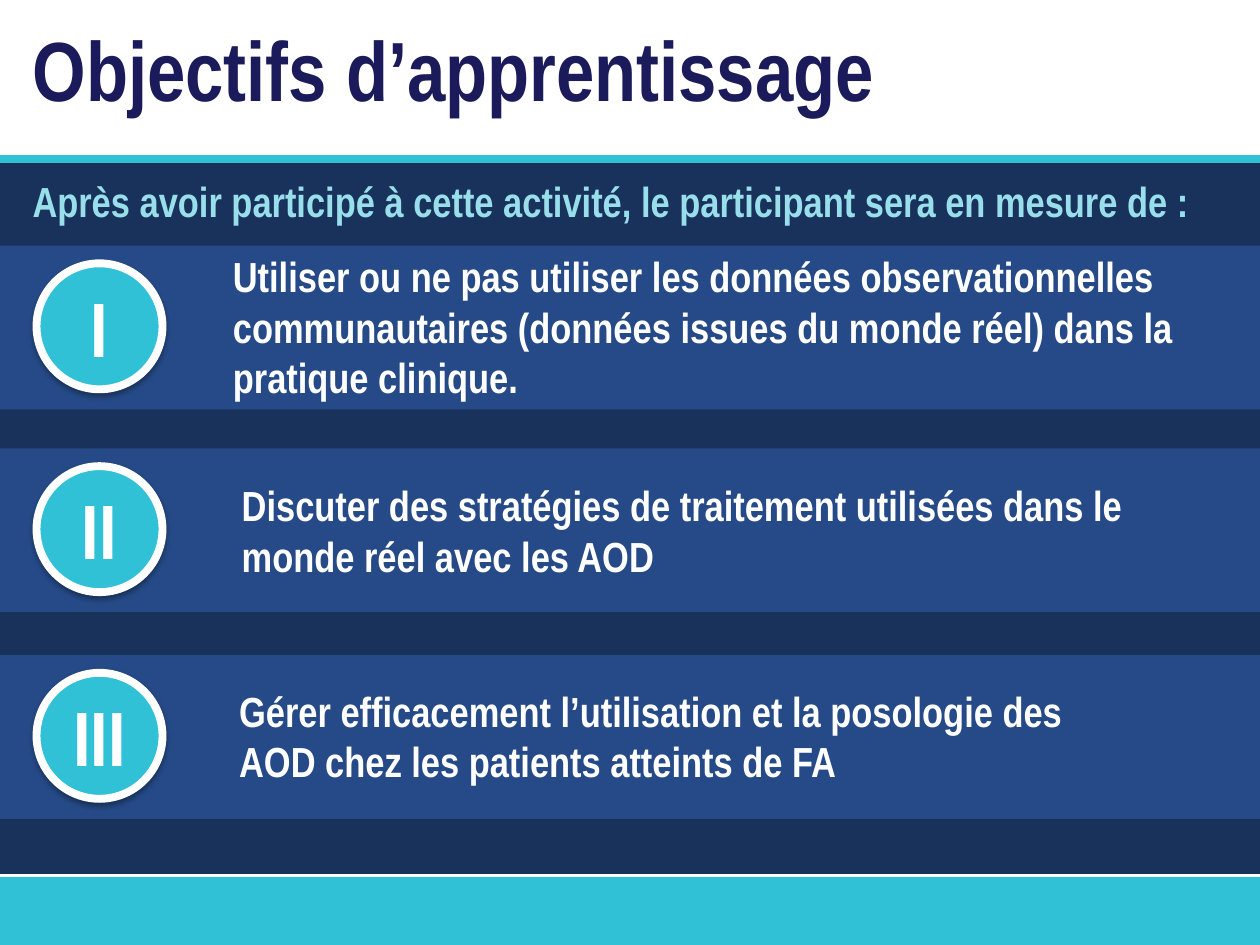
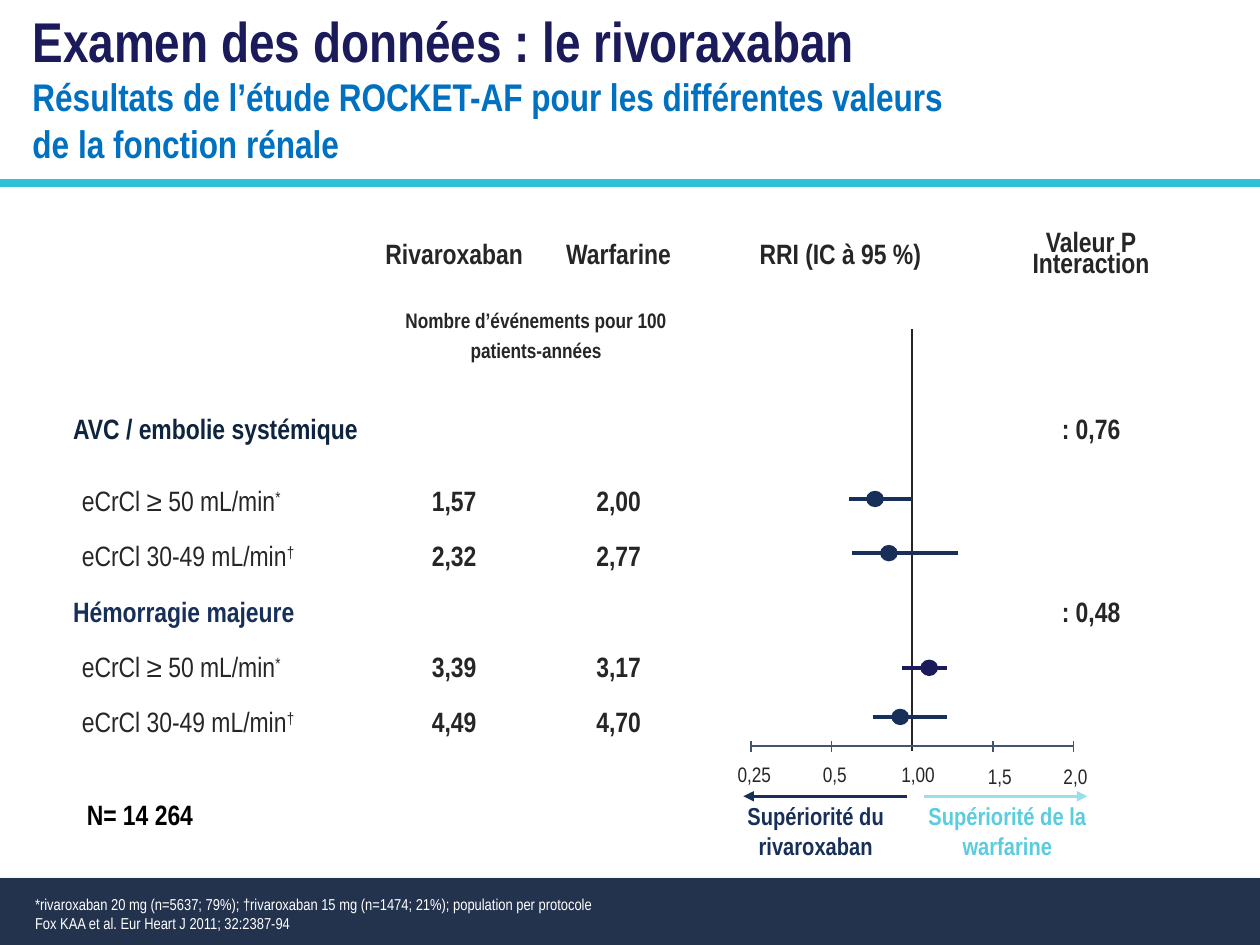
from dataclasses import dataclass

from lxml.etree import SubElement
from pptx import Presentation
from pptx.dml.color import RGBColor
from pptx.enum.shapes import MSO_CONNECTOR, MSO_SHAPE
from pptx.enum.text import MSO_ANCHOR, PP_ALIGN
from pptx.oxml.ns import qn
from pptx.util import Pt

EMU_PER_PX = 9144
WIDTH, HEIGHT = 1000, 750


@dataclass(frozen=True)
class Theme:
    """Colours, font and type sizes shared by the slides."""
    font: str = "Arial Narrow"
    white: str = "FFFFFF"
    black: str = "000000"
    ink: str = "262626"
    title: str = "1B1A5A"
    subtitle: str = "0070C0"
    turquoise: str = "30C1D7"
    pale_turquoise: str = "99DFEB"
    warfarin: str = "5BCCDF"
    panel: str = "19325C"
    band: str = "254A87"
    navy: str = "183059"
    dark_navy: str = "0F243E"
    slate: str = "23334E"
    axis: str = "44546A"
    title_size: int = 48
    numeral_size: int = 44
    small_title_size: int = 32
    objective_size: int = 24
    subtitle_size: int = 22
    table_size: int = 16
    verdict_size: int = 14
    label_size: int = 12
    note_size: int = 9


THEME = Theme()


def px(value):
    """Turn px into EMU."""
    return value * EMU_PER_PX


def rgb(color):
    """Turn a hexadecimal colour into an RGBColor."""
    return RGBColor.from_string(color)


def write(frame, text, size=THEME.table_size, color=THEME.ink, bold=True,
          align=PP_ALIGN.LEFT, spacing=None, superscript="", append=False):
    """Write one paragraph per line of text with the given format."""
    for index, line in enumerate(text.split("\n")):
        new = append or index > 0
        paragraph = frame.add_paragraph() if new else frame.paragraphs[0]
        paragraph.alignment = align
        if spacing:
            paragraph.line_spacing = spacing
        for content, raised in ((line, False), (superscript, True)):
            if not content:
                continue
            run = paragraph.add_run()
            run.text = content
            run.font.name = THEME.font
            run.font.size = Pt(size)
            run.font.bold = bold
            run.font.color.rgb = rgb(color)
            if raised:
                run._r.get_or_add_rPr().set("baseline", "30000")


def set_margins(holder, horizontal, vertical):
    """Set equal side margins and equal top and bottom margins."""
    holder.margin_left = holder.margin_right = px(horizontal)
    holder.margin_top = holder.margin_bottom = px(vertical)


def add_text(slide, box, text, wrap=True, margins=(10, 5), **text_format):
    """Add a text box and return its frame."""
    frame = slide.shapes.add_textbox(*map(px, box)).text_frame
    frame.word_wrap = wrap
    set_margins(frame, *margins)
    write(frame, text, **text_format)
    return frame


def add_figure(slide, kind, box, fill=None, line=None, line_width=1, shadow=False):
    """Add a preset shape with plain fill, line and optional soft shadow."""
    shape = slide.shapes.add_shape(kind, *map(px, box))
    if fill:
        shape.fill.solid()
        shape.fill.fore_color.rgb = rgb(fill)
    else:
        shape.fill.background()
    if line:
        shape.line.color.rgb = rgb(line)
        shape.line.width = Pt(line_width)
    else:
        shape.line.fill.background()
    shape.shadow.inherit = False
    if shadow:
        effects = shape._element.spPr.find(qn("a:effectLst"))
        outer = SubElement(effects, qn("a:outerShdw"), blurRad="40000",
                           dist="23000", dir="5400000", rotWithShape="0")
        tint = SubElement(outer, qn("a:srgbClr"), val=THEME.black)
        SubElement(tint, qn("a:alpha"), val="35000")
    return shape


def add_line(slide, start, end, color, width, arrow=False):
    """Add a straight line, with an arrowhead at its end if asked."""
    connector = slide.shapes.add_connector(
        MSO_CONNECTOR.STRAIGHT, *map(px, (*start, *end)))
    connector.line.color.rgb = rgb(color)
    connector.line.width = Pt(width)
    if arrow:
        SubElement(connector.line._get_or_add_ln(), qn("a:tailEnd"), type="triangle")
    SubElement(connector._element.spPr, qn("a:effectLst"))


def add_rule(slide, top, color=THEME.turquoise, width=4.5):
    """Draw a line across the whole slide."""
    add_line(slide, (0, top), (WIDTH, top), color, width)


def add_footer(slide, top, color):
    """Fill the foot of the slide from the given top."""
    add_figure(slide, MSO_SHAPE.RECTANGLE, (0, top, WIDTH, HEIGHT - top), color, shadow=True)


def add_objective(slide, band, numeral, text, text_box):
    """Add a band with a numbered disc; the text box is relative to the band."""
    left, top, _, _ = band
    add_figure(slide, MSO_SHAPE.RECTANGLE, band, THEME.band)
    disc = add_figure(slide, MSO_SHAPE.FLOWCHART_CONNECTOR,
                      (left + 29, top + 14, 100, 100),
                      THEME.turquoise, THEME.white, 4.5, shadow=True)
    disc.text_frame.vertical_anchor = MSO_ANCHOR.MIDDLE
    write(disc.text_frame, numeral, THEME.numeral_size, THEME.white, align=PP_ALIGN.CENTER)
    text_left, text_top, width, height = text_box
    add_text(slide, (left + text_left, top + text_top, width, height), text,
             size=THEME.objective_size, color=THEME.white)


def build_objectives(slide):
    """Build the slide of learning objectives."""
    add_figure(slide, MSO_SHAPE.RECTANGLE, (0, 126, WIDTH, 570), THEME.panel)
    add_footer(slide, 696, THEME.turquoise)
    add_rule(slide, 126)
    add_rule(slide, 695, THEME.white, 1.5)
    objectives = (
        (195, "I", "Utiliser ou ne pas utiliser les données observationnelles "
         "communautaires (données issues du monde réel) dans la pratique clinique.",
         (175, -1, 791, 131)),
        (356, "II", "Discuter des stratégies de traitement utilisées dans le "
         "monde réel avec les AOD", (182, 20, 765, 91)),
        (520, "III", "Gérer efficacement l’utilisation et la posologie des AOD "
         "chez les patients atteints de FA", (180, 19, 737, 91)),
    )
    for top, numeral, text, text_box in objectives:
        add_objective(slide, (0, top, WIDTH, 130), numeral, text, text_box)
    add_text(slide, (16, 9, 882, 91), "Objectifs d’apprentissage",
             size=THEME.title_size, color=THEME.title)
    add_text(slide, (16, 134, 949, 60),
             "Après avoir participé à cette activité, le participant sera en mesure de :",
             size=THEME.objective_size, color=THEME.pale_turquoise)


def add_results_table(slide, box):
    """Add the table of event rates and interaction values."""
    headings = ("", "Rivaroxaban", "Warfarine", "RRI (IC à 95 %)", "Valeur P\nInteraction")
    normal, reduced = ("eCrCl ≥ 50 mL/min", "*"), ("eCrCl 30-49 mL/min", "†")
    sections = (
        ("AVC / embolie systémique", THEME.dark_navy, ": 0,76",
         ((normal, "1,57", "2,00"), (reduced, "2,32", "2,77"))),
        ("Hémorragie majeure", THEME.navy, ": 0,48",
         ((normal, "3,39", "3,17"), (reduced, "4,49", "4,70"))),
    )
    table = slide.shapes.add_table(8, 5, *map(px, box)).table
    table.first_row = table.horz_banding = False
    for column, width in zip(table.columns, (247, 131, 130, 222, 176)):
        column.width = px(width)
    for row, height in zip(table.rows, (70, 37, 70, 41, 41, 41, 41, 41)):
        row.height = px(height)
    for cell in table.iter_cells():
        cell.fill.background()
        cell.vertical_anchor = MSO_ANCHOR.MIDDLE
        set_margins(cell, 10, 2)
    centred = {"align": PP_ALIGN.CENTER, "spacing": 1.5}
    for column, heading in enumerate(headings):
        write(table.cell(0, column).text_frame, heading, align=PP_ALIGN.CENTER,
              spacing=0.8 if "\n" in heading else None)
    unit = table.cell(1, 1)
    unit.merge(table.cell(1, 2))
    unit.vertical_anchor = MSO_ANCHOR.TOP
    write(unit.text_frame, "Nombre d’événements pour 100 patients-années",
          THEME.label_size, **centred)
    for section, (outcome, color, interaction, groups) in enumerate(sections):
        first = 2 + 3 * section
        write(table.cell(first, 0).text_frame, outcome, color=color, spacing=1.5)
        write(table.cell(first, 4).text_frame, interaction, **centred)
        for row, ((group, mark), *rates) in enumerate(groups, first + 1):
            name = table.cell(row, 0)
            name.margin_left = px(17)
            write(name.text_frame, group, bold=False, spacing=1.5, superscript=mark)
            for column, rate in enumerate(rates, 1):
                write(table.cell(row, column).text_frame, rate, **centred)


def add_forest_plot(slide, box):
    """Draw the axis, its labels and the confidence intervals in the box."""
    left, top, width, height = box
    bottom = top + height
    step = width // 4
    labels = (("0,25", -11, 15, 27), ("0,5", 57, 15, 19), ("1,00", 119, 15, 27),
              ("1,5", 188, 16, 19), ("2,0", 248, 16, 19))
    for index, (text, x, y, label_width) in enumerate(labels):
        add_text(slide, (left + x, bottom + y, label_width, 20), text, wrap=False,
                 margins=(0, 0), size=THEME.label_size, bold=False,
                 align=PP_ALIGN.RIGHT, spacing=0.9)
        tick = left + index * step
        if index != 2:
            add_line(slide, (tick, bottom + 5), (tick, bottom - 4), THEME.axis, 1)
    middle = left + 2 * step
    add_line(slide, (middle, bottom + 4), (middle, top), THEME.ink, 1)
    add_line(slide, (left, bottom), (left + width, bottom), THEME.axis, 1)
    intervals = ((135, 78, 92, 128, THEME.navy), (178, 80, 103, 164, THEME.navy),
                 (269, 120, 135, 156, THEME.title), (308, 97, 112, 156, THEME.navy))
    for y, low, dot, high, color in intervals:
        add_line(slide, (left + low, top + y), (left + high, top + y), color, 2)
        add_figure(slide, MSO_SHAPE.OVAL, (left + dot, top + y - 6, 13, 12), color, color, 0.75)


def add_verdict(slide, box, text, text_color, arrow_start, arrow_end, arrow_color):
    """Name the favoured drug under an arrow; arrow ends are relative to the box."""
    left, top, _, _ = box
    shape = add_figure(slide, MSO_SHAPE.ROUNDED_RECTANGLE, box)
    shape.text_frame.vertical_anchor = MSO_ANCHOR.MIDDLE
    set_margins(shape.text_frame, 0, 5)
    write(shape.text_frame, text, THEME.verdict_size, text_color, align=PP_ALIGN.CENTER)
    add_line(slide, (left + arrow_start, top - 4), (left + arrow_end, top - 4),
             arrow_color, 2, arrow=True)


def build_results(slide):
    """Build the slide of trial results by renal function."""
    add_footer(slide, 697, THEME.slate)
    title = add_text(slide, (16, 0, 766, 138), "Examen des données : le rivoraxaban",
                     size=THEME.small_title_size, color=THEME.title)
    write(title, "Résultats de l’étude ROCKET-AF pour les différentes valeurs "
          "de la fonction rénale", THEME.subtitle_size, THEME.subtitle, append=True)
    add_rule(slide, 145)
    add_text(slide, (18, 705, 475, 40),
             "*rivaroxaban 20 mg (n=5637; 79%); †rivaroxaban 15 mg (n=1474; 21%); "
             "population per protocole\nFox KAA et al. Eur Heart J 2011; 32:2387-94",
             size=THEME.note_size, color=THEME.white, bold=False)
    add_results_table(slide, (48, 169, 906, 382))
    add_forest_plot(slide, (596, 261, 256, 331))
    add_verdict(slide, (566, 636, 163, 47), "Supériorité du rivaroxaban", THEME.navy,
                154, 24, THEME.navy)
    add_verdict(slide, (729, 636, 141, 47), "Supériorité de la warfarine", THEME.warfarin,
                4, 134, THEME.pale_turquoise)
    add_text(slide, (59, 628, 105, 37), "N= 14 264", wrap=False, color=THEME.black)


def main():
    """Build and save the presentation."""
    presentation = Presentation()
    presentation.slide_width, presentation.slide_height = px(WIDTH), px(HEIGHT)
    for build in (build_objectives, build_results):
        build(presentation.slides.add_slide(presentation.slide_layouts[6]))
    presentation.save("out.pptx")


if __name__ == "__main__":
    main()
